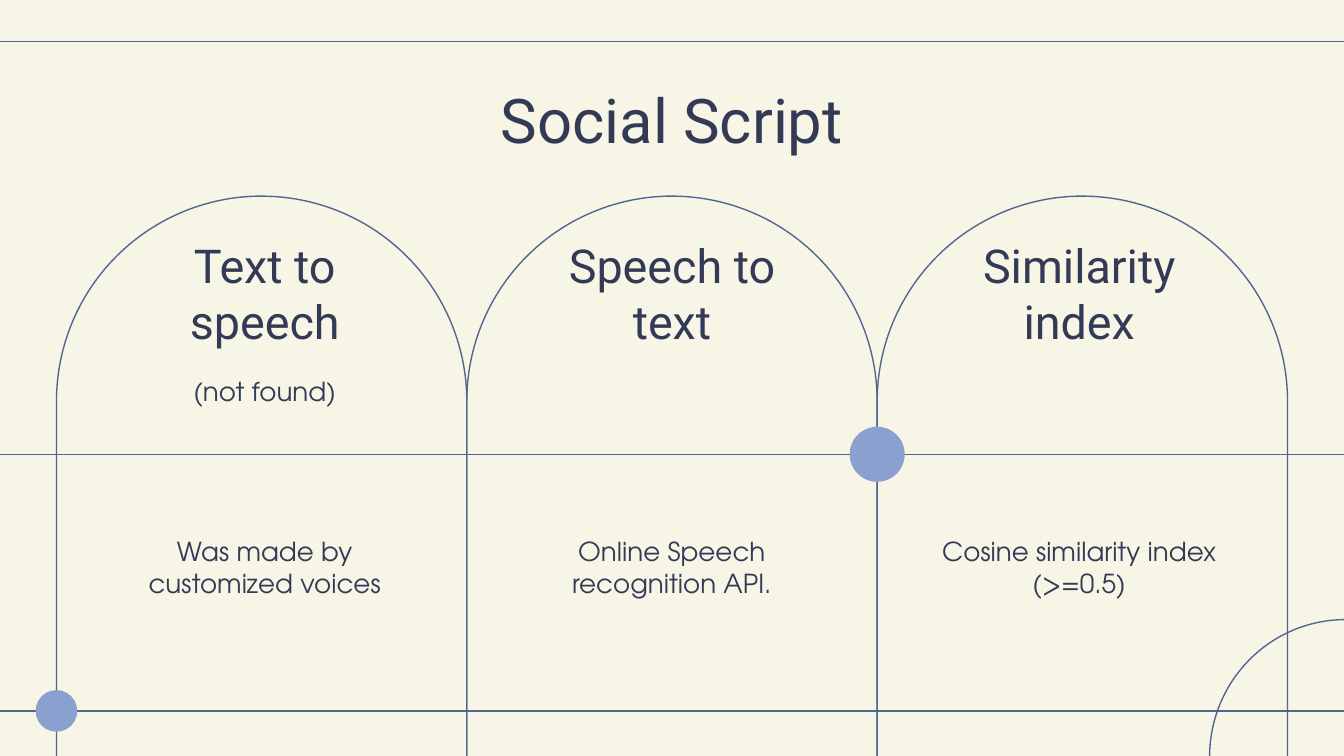
from lxml import etree
from pptx import Presentation
from pptx import util as u
from pptx.dml.color import RGBColor
from pptx.enum import shapes, text
from pptx.oxml.ns import qn

WIDTH = 10
HEIGHT = WIDTH * 9 / 16
CREAM = RGBColor(0xF7, 0xF5, 0xE6)
NAVY = RGBColor(0x33, 0x3A, 0x56)
OUTLINE = RGBColor(0x52, 0x65, 0x8F)
DOT_BLUE = RGBColor(0x8A, 0xA0, 0xCF)
HEADING_FONT, BODY_FONT = "Roboto", "TeX Gyre Adventor"

COLUMNS = [
    ("Text to speech", "(not found)", ["Was made by customized voices"]),
    ("Speech to text", None, ["Online Speech recognition API."]),
    ("Similarity index", None, ["Cosine similarity index", "(>=0.5)"]),
]

ARCH_LEFT, ARCH_TOP, ARCH_HEIGHT = 0.42, 1.46, 4.24
ARCH_WIDTH = (WIDTH - 2 * ARCH_LEFT) / len(COLUMNS)
TEXT_LEFT, TEXT_WIDTH, TEXT_PITCH = 0.79, 2.36, 3.03
TOP_RULE, MIDDLE_RULE, BOTTOM_RULE = 0.31, 3.38, 5.29
HEADING_MIDDLE, NOTE_MIDDLE, DETAIL_MIDDLE = 2.18, 2.91, 4.22


def fill_text(frame, lines, *, size, font=BODY_FONT, color=NAVY):
    """Write centred, formatted paragraphs into a text frame."""
    frame.word_wrap = True
    frame.auto_size = text.MSO_AUTO_SIZE.NONE
    frame.vertical_anchor = text.MSO_ANCHOR.MIDDLE
    frame.margin_left = frame.margin_right = u.Inches(0.1)
    frame.margin_top = frame.margin_bottom = u.Inches(0.1)
    frame.text = "\n".join(lines)
    for paragraph in frame.paragraphs:
        paragraph.alignment = text.PP_ALIGN.CENTER
        paragraph.font.size = u.Pt(size)
        paragraph.font.name = font
        paragraph.font.color.rgb = color


def add_label(slide, column, middle, height, lines, **style):
    """Add a text box to a column, centred on a vertical position."""
    label = slide.shapes.add_textbox(
        u.Inches(TEXT_LEFT + column * TEXT_PITCH), u.Inches(middle - height / 2),
        u.Inches(TEXT_WIDTH), u.Inches(height))
    fill_text(label.text_frame, lines, **style)


def add_outline(slide, kind, left, top, width, height):
    """Add an unfilled preset shape with a thin outline."""
    outline = slide.shapes.add_shape(kind, *map(u.Inches, (left, top, width, height)))
    outline.shadow.inherit = False
    outline.fill.background()
    outline.line.color.rgb = OUTLINE
    outline.line.width = u.Pt(0.75)
    return outline


def add_rule(slide, y):
    """Add a horizontal line across the slide."""
    rule = slide.shapes.add_connector(
        shapes.MSO_CONNECTOR.STRAIGHT, 0, u.Inches(y), u.Inches(WIDTH), u.Inches(y))
    rule.line.color.rgb = OUTLINE
    rule.line.width = u.Pt(0.75)
    etree.SubElement(rule._element.spPr, qn("a:effectLst"))


def add_dot(slide, x, y, diameter):
    """Add a filled circle centred on a crossing of lines."""
    dot = slide.shapes.add_shape(
        shapes.MSO_SHAPE.OVAL, u.Inches(x - diameter / 2), u.Inches(y - diameter / 2),
        u.Inches(diameter), u.Inches(diameter))
    dot.shadow.inherit = False
    dot.fill.solid()
    dot.fill.fore_color.rgb = DOT_BLUE
    dot.line.fill.background()


def add_title(slide, wording):
    """Place and format the slide title."""
    title = slide.shapes.title
    title.left, title.top = u.Inches(TEXT_LEFT), u.Inches(0.59)
    title.width, title.height = u.Inches(WIDTH - 2 * TEXT_LEFT), u.Inches(0.59)
    fill_text(title.text_frame, [wording], size=33, font=HEADING_FONT)


def add_background(slide):
    """Draw the arches, the corner arc and the outer rules."""
    slide.background.fill.solid()
    slide.background.fill.fore_color.rgb = CREAM
    for column in range(len(COLUMNS)):
        arch = add_outline(slide, shapes.MSO_SHAPE.ROUND_2_SAME_RECTANGLE,
                           ARCH_LEFT + column * ARCH_WIDTH, ARCH_TOP,
                           ARCH_WIDTH, ARCH_HEIGHT)
        arch.adjustments[0] = 0.5
    corner = add_outline(slide, shapes.MSO_SHAPE.ARC, 8.99, 4.62, 2.04, 2.02)
    corner.rotation = 270
    add_rule(slide, TOP_RULE)
    add_rule(slide, BOTTOM_RULE)


def main():
    """Build the slide and save it."""
    deck = Presentation()
    deck.slide_width, deck.slide_height = u.Inches(WIDTH), u.Inches(HEIGHT)
    slide = deck.slides.add_slide(deck.slide_layouts[5])
    add_background(slide)
    add_title(slide, "Social Script")
    for column, (heading, note, details) in enumerate(COLUMNS):
        add_label(slide, column, HEADING_MIDDLE, 0.58, [heading],
                  size=25, font=HEADING_FONT)
        if note:
            add_label(slide, column, NOTE_MIDDLE, 0.53, [note], size=14)
        add_label(slide, column, DETAIL_MIDDLE, 0.72, details, size=14)
    add_rule(slide, MIDDLE_RULE)
    add_dot(slide, ARCH_LEFT + 2 * ARCH_WIDTH, MIDDLE_RULE, 0.41)
    add_dot(slide, ARCH_LEFT, BOTTOM_RULE, 0.31)
    deck.save("out.pptx")


if __name__ == "__main__":
    main()
